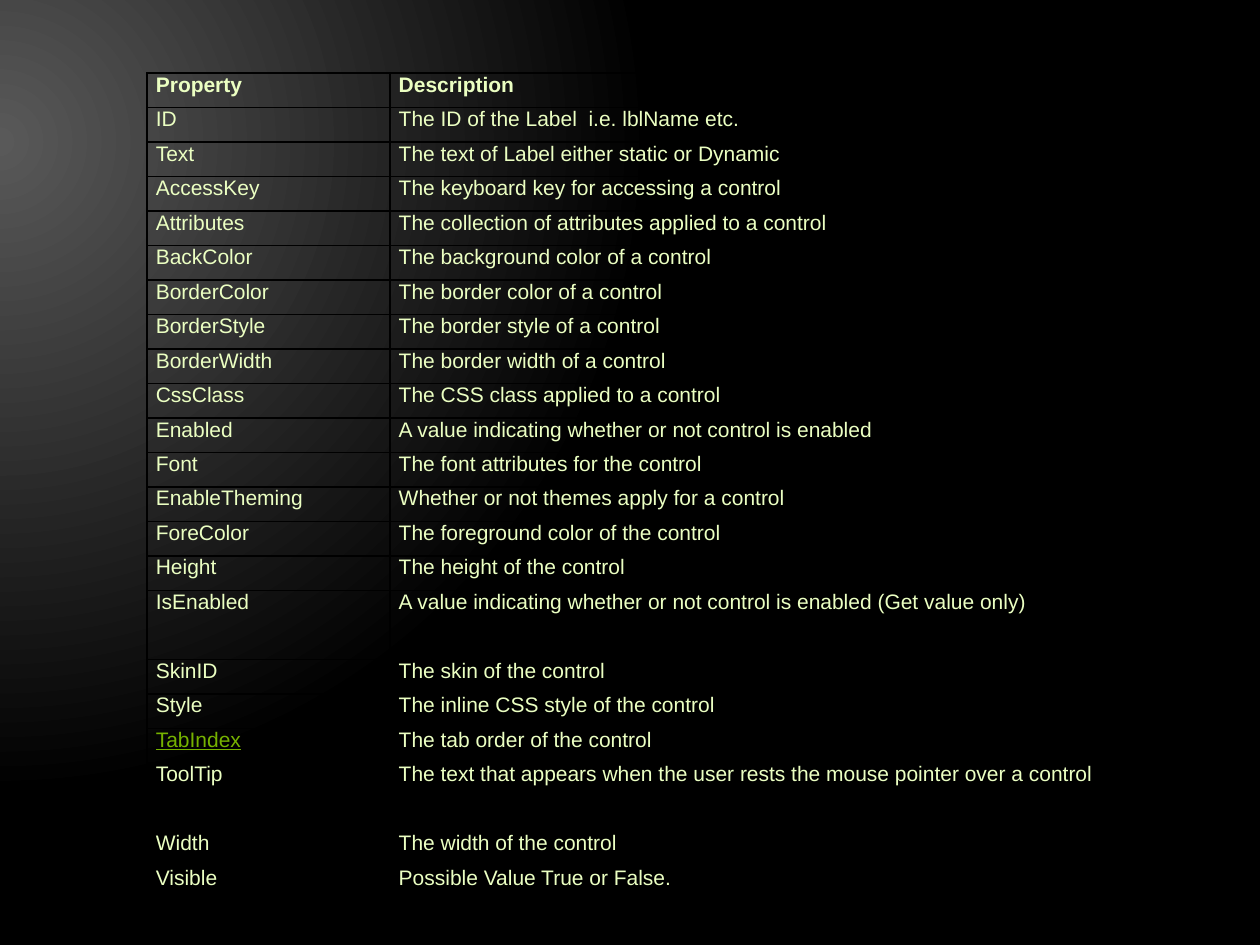
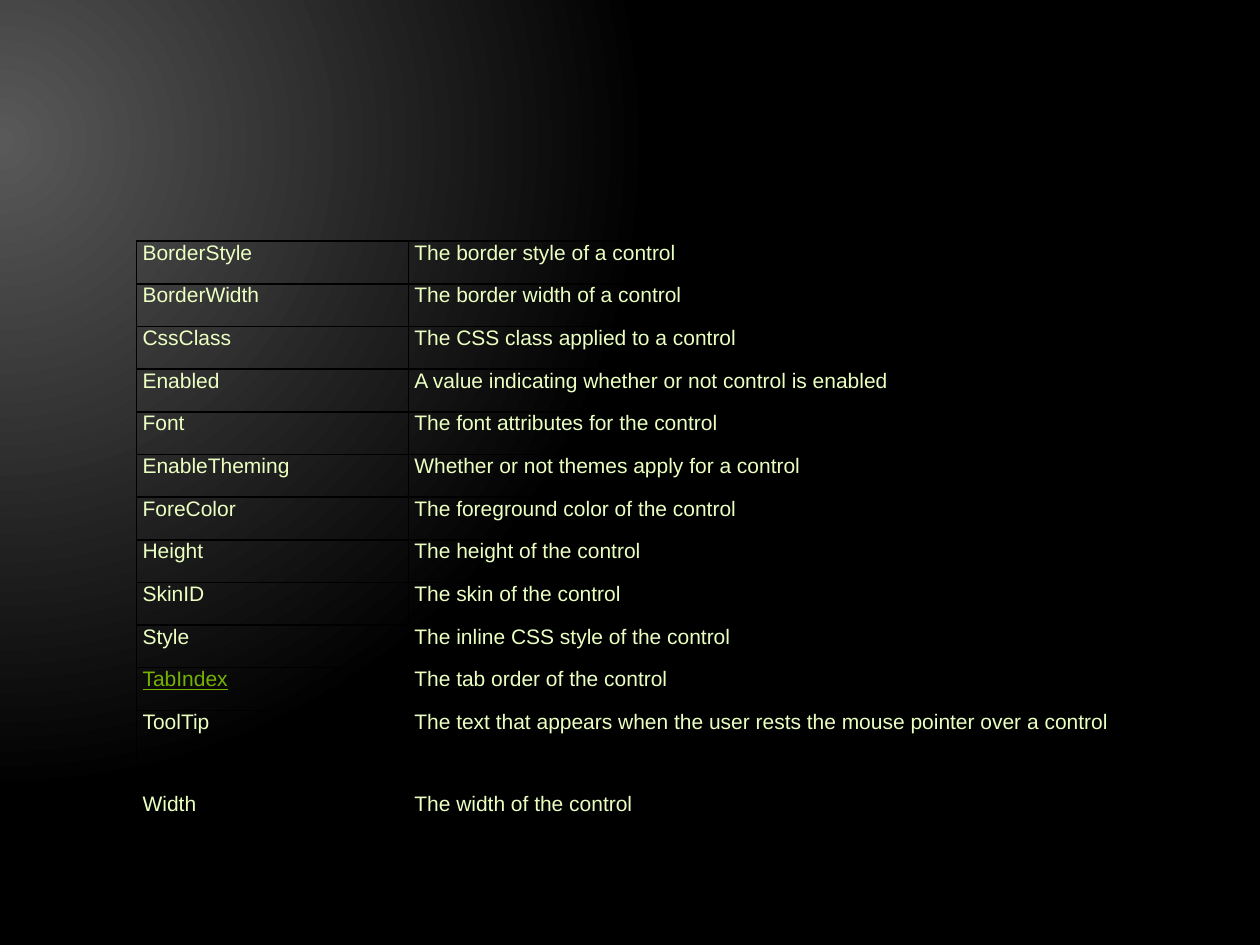
"""Build two slides of Label control properties as tables on a dark radial gradient."""
from dataclasses import dataclass

import lxml.etree
import pptx
import pptx.dml.color
import pptx.oxml
import pptx.oxml.ns
import pptx.util

Pt = pptx.util.Pt
RGBColor = pptx.dml.color.RGBColor

HEADER = ("Property", "Description")
DESCRIPTIONS = {
    "ID": "The ID of the Label  i.e. lblName etc.",
    "Text": "The text of Label either static or Dynamic",
    "AccessKey": "The keyboard key for accessing a control",
    "Attributes": "The collection of attributes applied to a control",
    "BackColor": "The background color of a control",
    "BorderColor": "The border color of a control",
    "BorderStyle": "The border style of a control",
    "BorderWidth": "The border width of a control",
    "CssClass": "The CSS class applied to a control",
    "Enabled": "A value indicating whether or not control is enabled",
    "Font": "The font attributes for the control",
    "EnableTheming": "Whether or not themes apply for a control",
    "ForeColor": "The foreground color of the control",
    "Height": "The height of the control",
    "IsEnabled": "A value indicating whether or not control is enabled (Get value only)",
    "SkinID": "The skin of the control",
    "Style": "The inline CSS style of the control",
    "TabIndex": "The tab order of the control",
    "ToolTip": "The text that appears when the user rests the mouse pointer over a control",
    "Width": "The width of the control",
    "Visible": "Possible Value True or False.",
}
SHORT_LIST = (
    "BorderStyle", "BorderWidth", "CssClass", "Enabled", "Font", "EnableTheming", "ForeColor",
    "Height", "SkinID", "Style", "TabIndex", "ToolTip", "Width",
)
TALL_ROWS = ("IsEnabled", "ToolTip")
LINKED = "TabIndex"

TABLES = (
    {
        "rows": [HEADER, *DESCRIPTIONS.items()],
        "left": 84, "top": 41.8, "columns": (138.8, 449.2),
        "row_height": 19.72, "tall_height": 39.44, "margin": 5.1,
    },
    {
        "rows": [(name, DESCRIPTIONS[name]) for name in SHORT_LIST],
        "left": 78, "top": 137.8, "columns": (155.3, 432.7),
        "row_height": 24.38, "tall_height": 46.8, "margin": 3.5,
    },
)


@dataclass(frozen=True)
class Theme:
    font: str = "Arial"
    size: float = 12
    text: str = "EBFFC2"
    link: str = "76B200"
    border: str = "000000"
    border_width: float = 1
    glow: str = "595959"
    dark: str = "000000"


THEME = Theme()


def paint_background(master):
    fill = master.background.fill
    fill.gradient()
    gradient = master.element.find(".//" + pptx.oxml.ns.qn("a:gradFill"))
    radial = pptx.oxml.parse_xml(
        f'<a:gradFill {pptx.oxml.ns.nsdecls("a")} rotWithShape="1"><a:gsLst>'
        f'<a:gs pos="0"><a:srgbClr val="{THEME.glow}"/></a:gs>'
        f'<a:gs pos="83000"><a:srgbClr val="{THEME.dark}"/></a:gs></a:gsLst>'
        '<a:path path="circle"><a:fillToRect l="20000" t="30000" r="135000" b="100000"/></a:path>'
        "</a:gradFill>"
    )
    gradient.getparent().replace(gradient, radial)


def draw_borders(cell):
    properties = cell._tc.get_or_add_tcPr()
    qn = pptx.oxml.ns.qn
    for side in ("a:lnL", "a:lnR", "a:lnT", "a:lnB"):
        line = lxml.etree.SubElement(properties, qn(side), w=str(Pt(THEME.border_width)))
        solid = lxml.etree.SubElement(line, qn("a:solidFill"))
        lxml.etree.SubElement(solid, qn("a:srgbClr"), val=THEME.border)


def write_cell(cell, text, margin, bold):
    draw_borders(cell)
    cell.fill.background()
    cell.margin_left = cell.margin_right = Pt(margin)
    cell.margin_top = cell.margin_bottom = 0
    run = cell.text_frame.paragraphs[0].add_run()
    run.text = text
    font = run.font
    font.name, font.size, font.bold = THEME.font, Pt(THEME.size), bold
    font.underline = text == LINKED
    font.color.rgb = RGBColor.from_string(THEME.link if text == LINKED else THEME.text)


def add_property_table(slide, layout):
    rows, columns = layout["rows"], layout["columns"]
    heights = [layout["tall_height" if name in TALL_ROWS else "row_height"] for name, _ in rows]
    table = slide.shapes.add_table(
        len(rows), len(columns), Pt(layout["left"]), Pt(layout["top"]),
        Pt(sum(columns)), Pt(sum(heights)),
    ).table
    table.horz_banding = False
    table.first_row = rows[0] == HEADER
    for column, width in zip(table.columns, columns):
        column.width = Pt(width)
    for table_row, height, texts in zip(table.rows, heights, rows):
        table_row.height = Pt(height)
        for cell, text in zip(table_row.cells, texts):
            write_cell(cell, text, layout["margin"], texts == HEADER)


def main():
    presentation = pptx.Presentation()
    presentation.slide_width, presentation.slide_height = Pt(720), Pt(540)
    paint_background(presentation.slide_master)
    blank_layout = presentation.slide_layouts.get_by_name("Blank")
    for layout in TABLES:
        add_property_table(presentation.slides.add_slide(blank_layout), layout)
    presentation.save("out.pptx")


if __name__ == "__main__":
    main()
